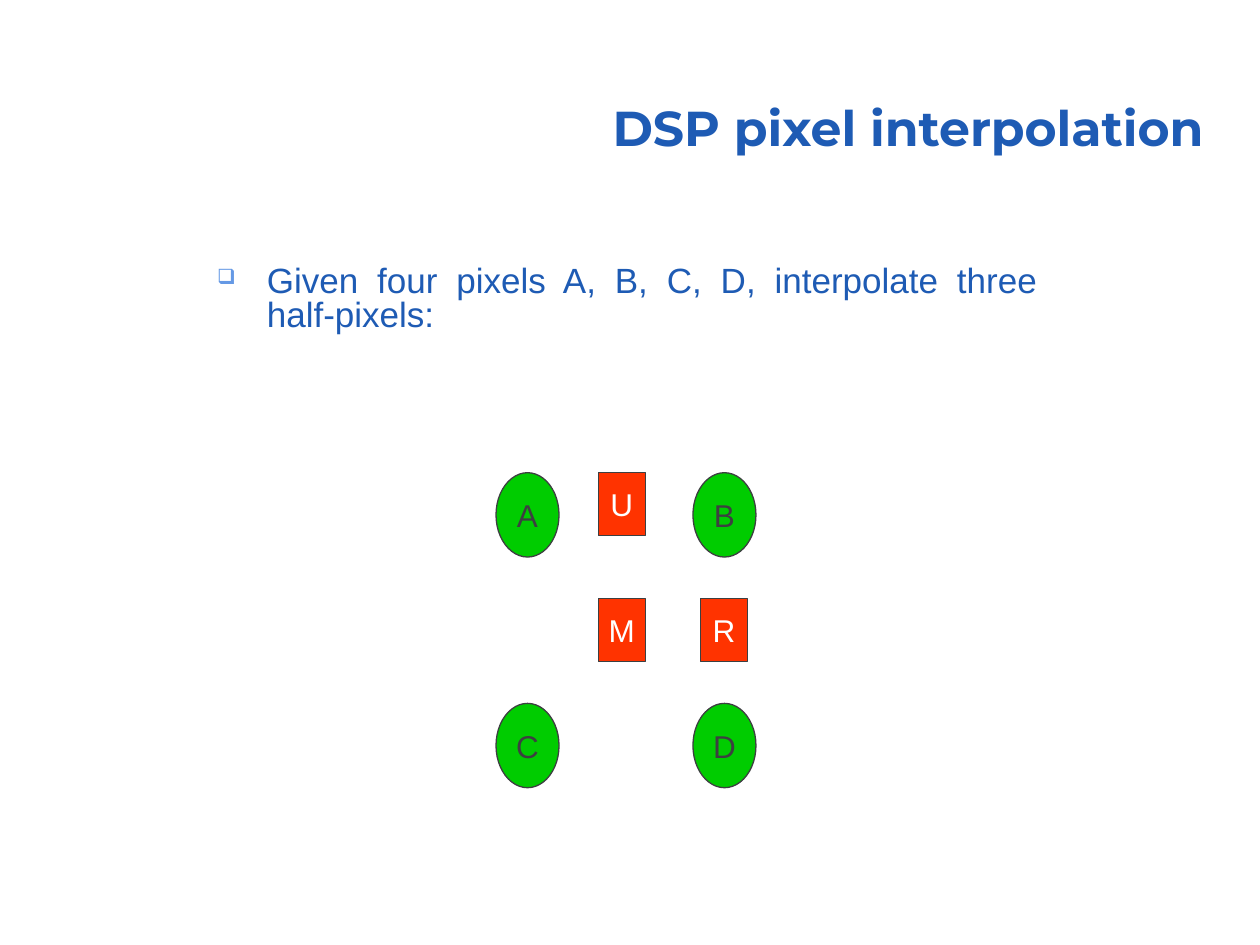
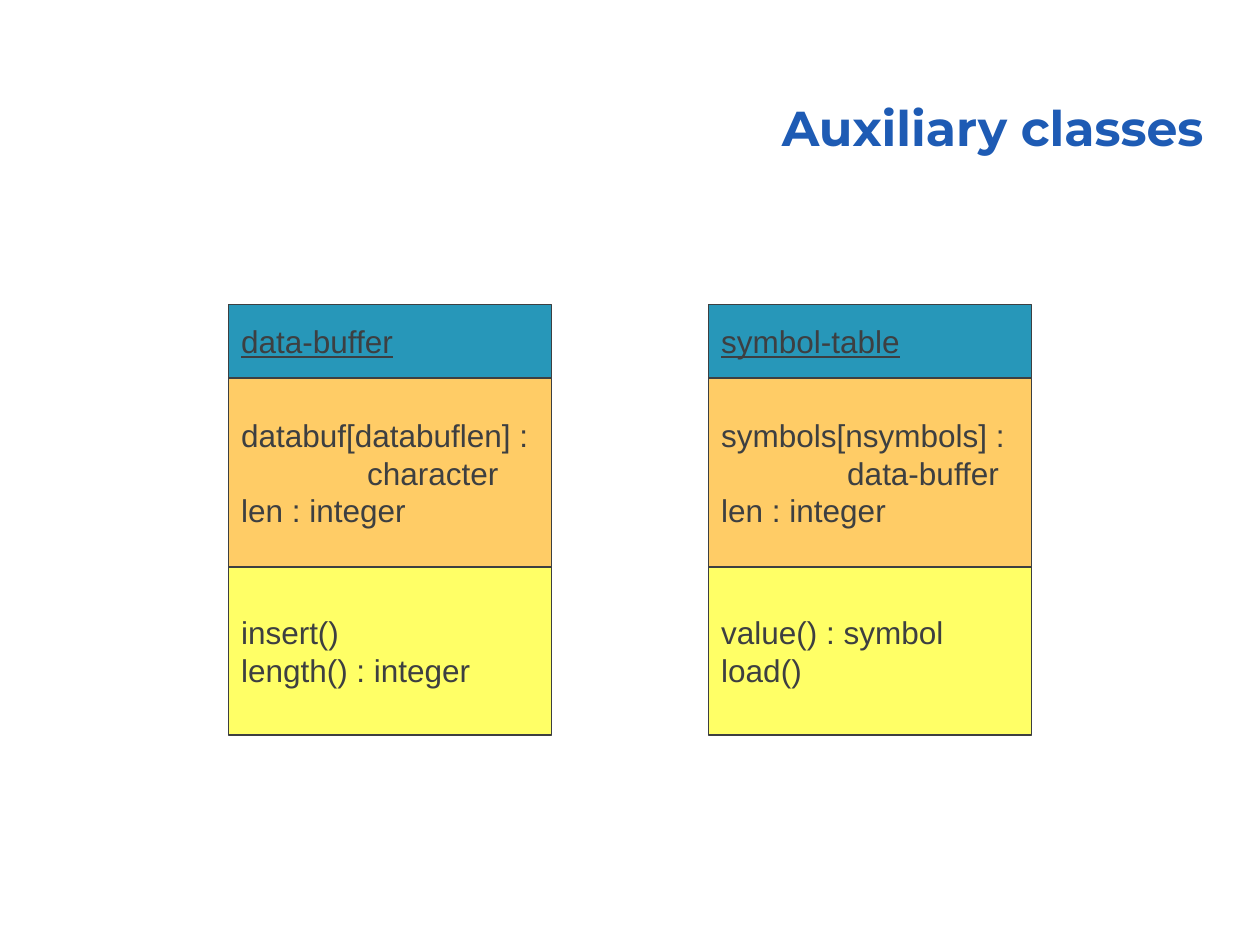
import lxml.etree
import pptx
import pptx.dml.color
import pptx.enum.shapes
import pptx.enum.text
import pptx.oxml.ns
import pptx.util

Cm = pptx.util.Cm
Pt = pptx.util.Pt
RGBColor = pptx.dml.color.RGBColor
SHAPE = pptx.enum.shapes.MSO_SHAPE
ALIGN = pptx.enum.text.PP_ALIGN
ANCHOR = pptx.enum.text.MSO_ANCHOR
qn = pptx.oxml.ns.qn

BLUE = RGBColor(0x1E, 0x5B, 0xB4)
BULLET_BLUE = RGBColor(0x65, 0x99, 0xE5)
DARK = RGBColor(0x3D, 0x3F, 0x41)
WHITE = RGBColor(0xFF, 0xFF, 0xFF)
GREEN = RGBColor(0x00, 0xCC, 0x00)
RED = RGBColor(0xFF, 0x33, 0x00)
TEAL = RGBColor(0x27, 0x97, 0xB9)
ORANGE = RGBColor(0xFF, 0xCC, 0x66)
YELLOW = RGBColor(0xFF, 0xFF, 0x66)


def write(slide, text, left, top, width, height, *, outline=None, fill=None,
          size=18, font="Arial", color=DARK, bold=False, underline=False,
          align=ALIGN.LEFT, anchor=ANCHOR.MIDDLE, wrap=True, spacing=None,
          bullet=None, tab=None):
    """Put text, one paragraph a line, in a filled outline or a plain text box."""
    place = Cm(left), Cm(top), Cm(width), Cm(height)
    if outline is None:
        box = slide.shapes.add_textbox(*place)
    else:
        box = slide.shapes.add_shape(outline, *place)
        box.shadow.inherit = False
        box.fill.solid()
        box.fill.fore_color.rgb = fill
        box.line.color.rgb = DARK
        box.line.width = Pt(0.75)
    frame = box.text_frame
    frame.word_wrap = wrap
    frame.vertical_anchor = anchor
    for number, line in enumerate(text.split("\n")):
        paragraph = frame.add_paragraph() if number else frame.paragraphs[0]
        paragraph.alignment = align
        if spacing:
            paragraph.line_spacing = spacing
        properties = paragraph._p.get_or_add_pPr()
        if bullet:
            properties.set("marL", str(Cm(1)))
            properties.set("indent", str(-Cm(1)))
            bullet_color = lxml.etree.SubElement(properties, qn("a:buClr"))
            lxml.etree.SubElement(bullet_color, qn("a:srgbClr"), val=str(BULLET_BLUE))
            lxml.etree.SubElement(properties, qn("a:buSzPct"), val="60000")
            lxml.etree.SubElement(properties, qn("a:buChar"), char=bullet)
        if tab:
            tabs = lxml.etree.SubElement(properties, qn("a:tabLst"))
            lxml.etree.SubElement(tabs, qn("a:tab"), pos=str(Cm(tab)), algn="l")
        run = paragraph.add_run()
        run.text = line
        run.font.size = Pt(size)
        run.font.name = font
        run.font.color.rgb = color
        run.font.bold = bold
        run.font.underline = underline
    return box


def add_titled_slide(title):
    slide = presentation.slides.add_slide(presentation.slide_layouts[6])
    write(slide, title, 7.47, 1.35, 17.04, 1.95, size=28, font="Montserrat",
          color=BLUE, bold=True, align=ALIGN.RIGHT, anchor=ANCHOR.BOTTOM, spacing=0.9)
    return slide


presentation = pptx.Presentation()
presentation.slide_width = Cm(25.4)
presentation.slide_height = Cm(19.05)

# Pixel interpolation
interpolation = add_titled_slide("DSP pixel interpolation")
write(interpolation, "Given four pixels A, B, C, D, interpolate three half-pixels:",
      4.13, 5.25, 17.04, 2.59, size=20, color=BLUE, align=ALIGN.JUSTIFY,
      anchor=ANCHOR.TOP, spacing=0.8, bullet="❑")

PIXEL_LEFT, PIXEL_TOP = 10, 9.53
PIXEL_STEP_X, PIXEL_STEP_Y = 3.97, 4.65
for index, pixel in enumerate("ABCD"):
    row, column = divmod(index, 2)
    write(interpolation, pixel, PIXEL_LEFT + column * PIXEL_STEP_X,
          PIXEL_TOP + row * PIXEL_STEP_Y, 1.27, 1.7, outline=SHAPE.OVAL,
          fill=GREEN, align=ALIGN.CENTER, wrap=False)

HALF_STEP_X, HALF_STEP_Y = 2.06, 2.54
for half_pixel, column, row in (("U", 0, 0), ("M", 0, 1), ("R", 1, 1)):
    write(interpolation, half_pixel, 12.06 + column * HALF_STEP_X,
          PIXEL_TOP + row * HALF_STEP_Y, 0.95, 1.27, outline=SHAPE.RECTANGLE,
          fill=RED, color=WHITE, align=ALIGN.CENTER, wrap=False)

# Class diagrams: name, attributes and operations stacked without gaps
auxiliary = add_titled_slide("Auxiliary classes")
CLASSES = (
    (4.61, ("data-buffer",
            "databuf[databuflen] :\n\tcharacter\nlen : integer",
            "insert()\nlength() : integer")),
    (14.29, ("symbol-table",
             "symbols[nsymbols] :\n\tdata-buffer\nlen : integer",
             "value() : symbol\nload()")),
)
COMPARTMENTS = ((1.48, TEAL, True), (3.81, ORANGE, False), (3.39, YELLOW, False))
for class_left, contents in CLASSES:
    compartment_top = 6.14
    for content, (height, fill, underline) in zip(contents, COMPARTMENTS):
        write(auxiliary, content, class_left, compartment_top, 6.51, height,
              outline=SHAPE.RECTANGLE, fill=fill, underline=underline, tab=2.54)
        compartment_top += height

presentation.save("out.pptx")
